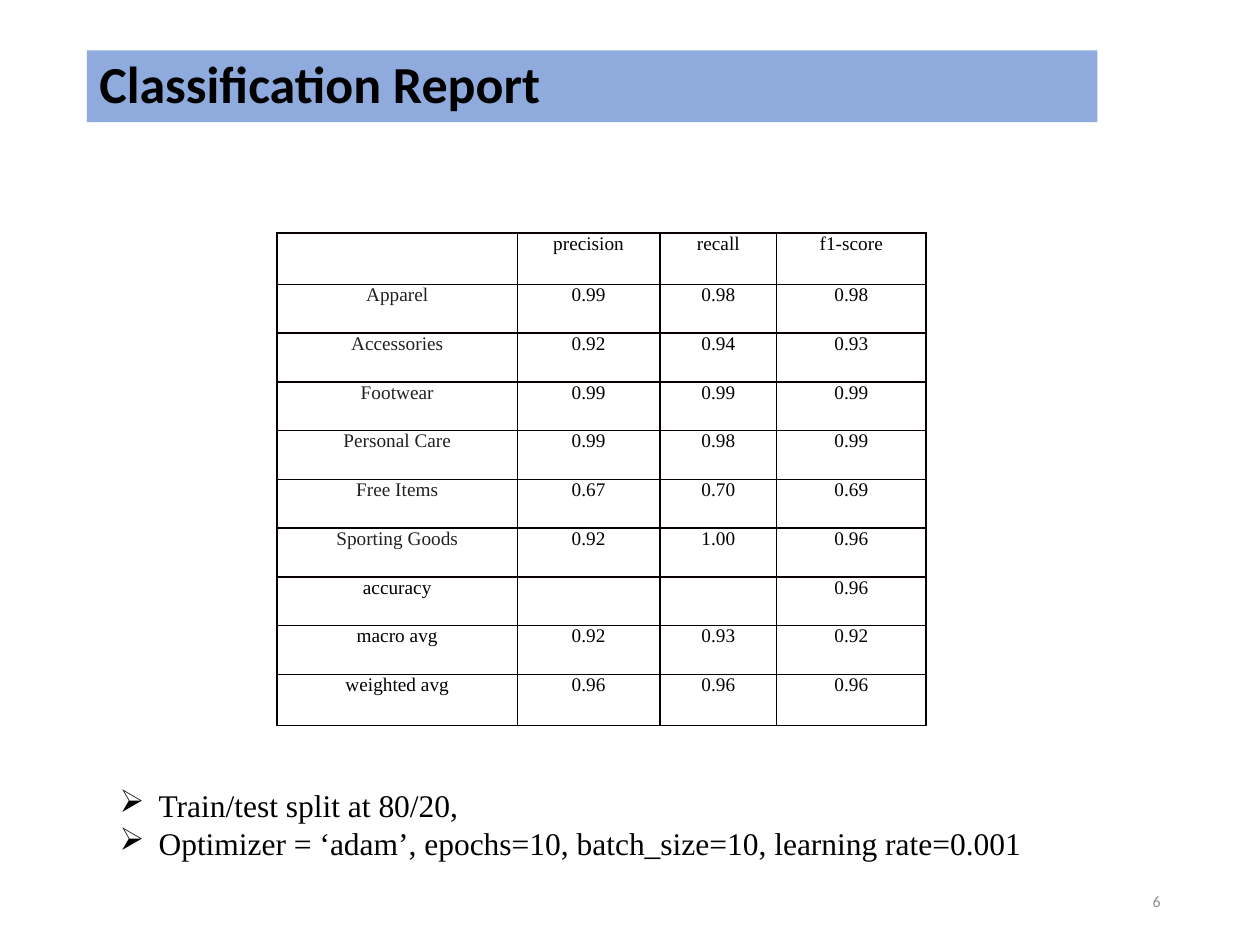
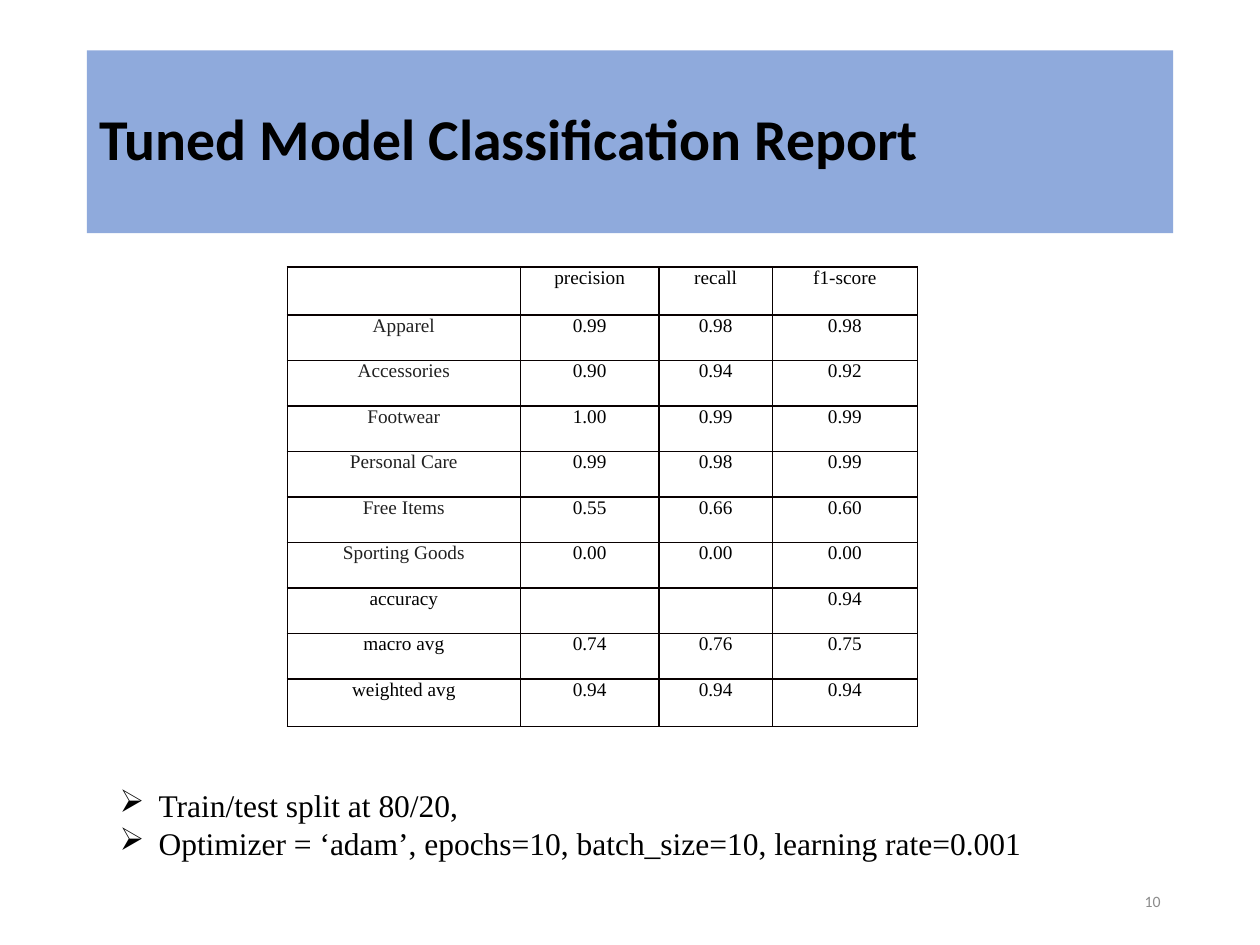
from itertools import product

from lxml.etree import SubElement
from pptx import Presentation
from pptx.dml.color import RGBColor
from pptx.enum.shapes import MSO_SHAPE as Preset
from pptx.enum.text import MSO_ANCHOR as Anchor, PP_ALIGN as Align
from pptx.oxml.ns import qn
from pptx.util import Inches, Pt

SLIDE_WIDTH, SLIDE_HEIGHT = Inches(10), Inches(7.5)
GRID_COLUMNS, GRID_ROWS = 100, 75
BAND, BLACK, LABEL, NUMBER, BORDER = "8FAADC", "000000", "212121", "8C8C8C", "080000"
HEADING, BODY = "Calibri", "Times New Roman"

NUMBER_BOX = (70.6, 69.5, 22.5, 4)
NOTES_BOX = (8.5, 61.9, 78.5, 7.1)
COLUMN_SHARES = (0.37, 0.22, 0.18, 0.23)
ROW_WEIGHTS = (1.05, *[1] * 8, 1.05)
SETTINGS = (
    "Train/test split at 80/20,",
    "Optimizer = ‘adam’, epochs=10, batch_size=10, learning rate=0.001",
)
METRICS = ("", "precision", "recall", "f1-score")
CLASSES = ("Apparel", "Accessories", "Footwear", "Personal Care", "Free Items", "Sporting Goods")
SUMMARIES = ("accuracy", "macro avg", "weighted avg")

REPORTS = (
    {
        "title": "Classification Report", "size": 29.7, "number": "6",
        "band": (6.9, 4, 80.2, 5.7), "table": (22, 18.5, 51.5, 39.1),
        "scores": (
            ("0.99", "0.98", "0.98"), ("0.92", "0.94", "0.93"), ("0.99", "0.99", "0.99"),
            ("0.99", "0.98", "0.99"), ("0.67", "0.70", "0.69"), ("0.92", "1.00", "0.96"),
            ("", "", "0.96"), ("0.92", "0.93", "0.92"), ("0.96", "0.96", "0.96"),
        ),
    },
    {
        "title": "Tuned Model Classification Report", "size": 33, "number": "10",
        "band": (6.9, 4, 86.2, 14.5), "table": (22.8, 21.2, 50, 36.5),
        "scores": (
            ("0.99", "0.98", "0.98"), ("0.90", "0.94", "0.92"), ("1.00", "0.99", "0.99"),
            ("0.99", "0.98", "0.99"), ("0.55", "0.66", "0.60"), ("0.00", "0.00", "0.00"),
            ("", "", "0.94"), ("0.74", "0.76", "0.75"), ("0.94", "0.94", "0.94"),
        ),
    },
)


def color(value):
    """Turn a hex string into a colour."""
    return RGBColor.from_string(value)


def place(box):
    """Turn a box in grid columns and rows into slide lengths."""
    left, top, width, height = box
    column, row = SLIDE_WIDTH / GRID_COLUMNS, SLIDE_HEIGHT / GRID_ROWS
    return int(left * column), int(top * row), int(width * column), int(height * row)


def apply(target, formats):
    """Set every attribute named in the formats."""
    for name, value in formats.items():
        setattr(target, name, value)


def write(paragraph, text, name, size, ink, bold=False, **formats):
    """Write one run and format its paragraph."""
    run = paragraph.add_run()
    run.text = text
    apply(run.font, {"name": name, "size": Pt(size), "bold": bold})
    run.font.color.rgb = color(ink)
    apply(paragraph, formats)


def add_band(slide, box, title, size):
    """Draw the title on its coloured band."""
    shape = slide.shapes.add_shape(Preset.RECTANGLE, *place(box))
    shape.shadow.inherit = False
    shape.fill.solid()
    shape.fill.fore_color.rgb = color(BAND)
    shape.line.fill.background()
    frame = shape.text_frame
    apply(frame, {"word_wrap": True, "vertical_anchor": Anchor.MIDDLE})
    write(frame.paragraphs[0], title, HEADING, size, BLACK, True,
          alignment=Align.LEFT, line_spacing=0.9)


def add_number(slide, box, number):
    """Write the slide number at the right of its box."""
    frame = slide.shapes.add_textbox(*place(box)).text_frame
    apply(frame, {"word_wrap": True, "vertical_anchor": Anchor.MIDDLE})
    write(frame.paragraphs[0], number, HEADING, 9, NUMBER, alignment=Align.RIGHT)


def add_settings(slide, box, lines):
    """List the training settings with arrow bullets."""
    frame = slide.shapes.add_textbox(*place(box)).text_frame
    frame.word_wrap = True
    for index, line in enumerate(lines):
        paragraph = frame.add_paragraph() if index else frame.paragraphs[0]
        write(paragraph, line, BODY, 18, BLACK)
        properties = paragraph._p.get_or_add_pPr()
        indent = Inches(0.31)
        properties.set("marL", str(indent))
        properties.set("indent", str(-indent))
        SubElement(properties, qn("a:buChar"), char="➢")


def add_borders(cell):
    """Draw a thin line on each side of a cell."""
    properties = cell._tc.get_or_add_tcPr()
    for side in ("lnL", "lnR", "lnT", "lnB"):
        line = SubElement(properties, qn(f"a:{side}"), w=str(Pt(1)))
        SubElement(SubElement(line, qn("a:solidFill")), qn("a:srgbClr"), val=BORDER)


def add_scores(slide, box, scores):
    """Fill a table with the scores of each class and summary."""
    rows = [METRICS, *((name, *values) for name, values in zip(CLASSES + SUMMARIES, scores))]
    left, top, width, height = place(box)
    table = slide.shapes.add_table(len(rows), len(METRICS), left, top, width, height).table
    apply(table, {"first_row": False, "horz_banding": False})
    for column, share in zip(table.columns, COLUMN_SHARES):
        column.width = int(width * share)
    for row, weight in zip(table.rows, ROW_WEIGHTS):
        row.height = int(height * weight / sum(ROW_WEIGHTS))
    for row, column in product(range(len(rows)), range(len(METRICS))):
        cell, text = table.cell(row, column), rows[row][column]
        add_borders(cell)
        cell.fill.background()
        apply(cell, {"margin_left": Inches(0.07), "margin_right": Inches(0.07),
                     "margin_top": 0, "margin_bottom": 0})
        if text:
            ink = LABEL if text in CLASSES else BLACK
            write(cell.text_frame.paragraphs[0], text, BODY, 11, ink, alignment=Align.CENTER)


def add_report(presentation, report):
    """Build one classification report slide."""
    slide = presentation.slides.add_slide(presentation.slide_layouts[6])
    add_band(slide, report["band"], report["title"], report["size"])
    add_number(slide, NUMBER_BOX, report["number"])
    add_settings(slide, NOTES_BOX, SETTINGS)
    add_scores(slide, report["table"], report["scores"])


def main():
    """Build and save the presentation."""
    presentation = Presentation()
    apply(presentation, {"slide_width": SLIDE_WIDTH, "slide_height": SLIDE_HEIGHT})
    for report in REPORTS:
        add_report(presentation, report)
    presentation.save("out.pptx")


if __name__ == "__main__":
    main()
